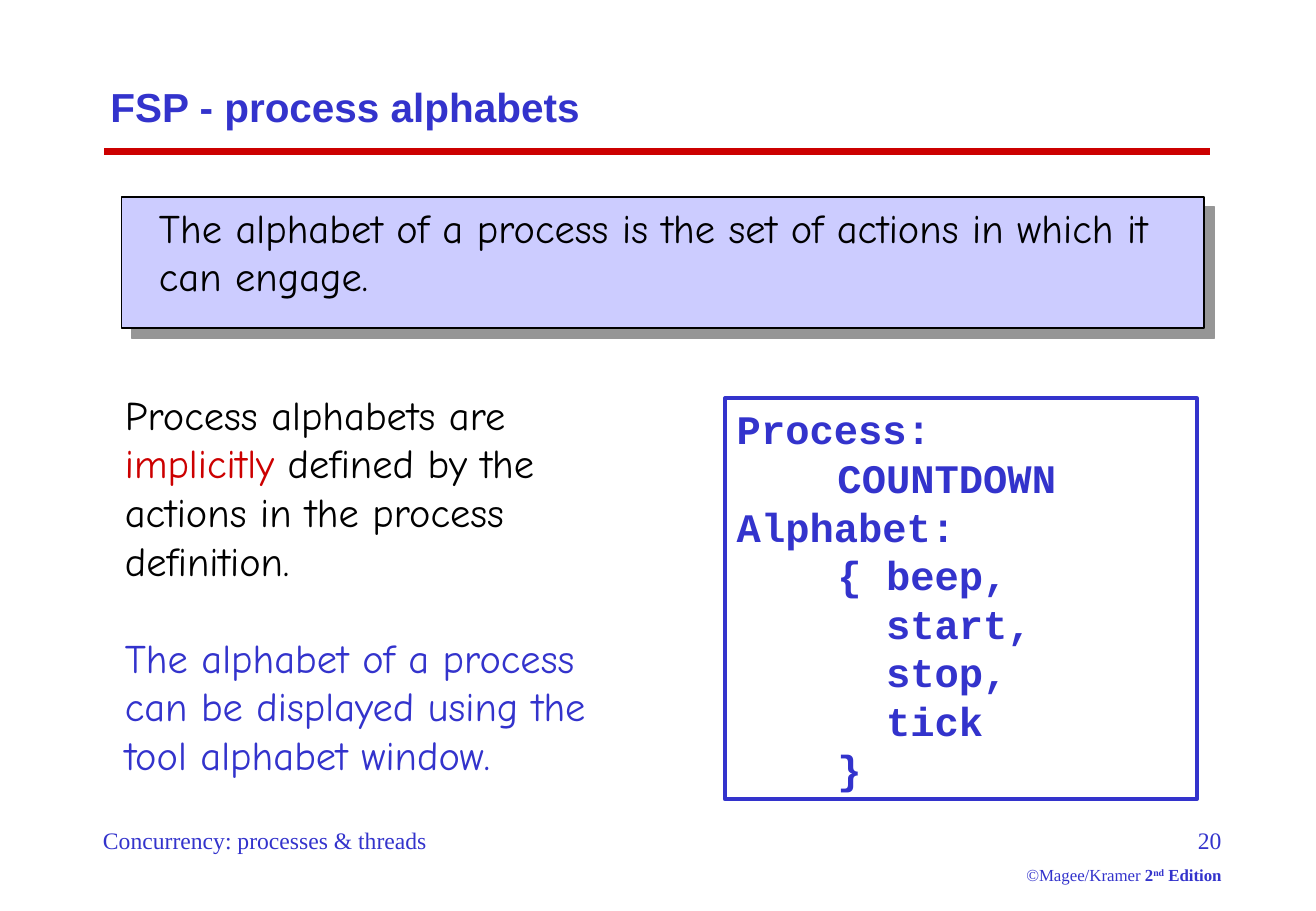
from lxml import etree
from pptx import Presentation
from pptx.dml.color import RGBColor
from pptx.enum.shapes import MSO_CONNECTOR, MSO_SHAPE
from pptx.enum.text import MSO_ANCHOR, PP_ALIGN
from pptx.oxml import parse_xml
from pptx.oxml.ns import qn
from pptx.util import Inches, Pt

RECT, STRAIGHT = MSO_SHAPE.RECTANGLE, MSO_CONNECTOR.STRAIGHT
LEFT, RIGHT = PP_ALIGN.LEFT, PP_ALIGN.RIGHT
TOP, MIDDLE = MSO_ANCHOR.TOP, MSO_ANCHOR.MIDDLE
A_NS = "http://schemas.openxmlformats.org/drawingml/2006/main"
BLUE, RED, BLACK, LILAC, GREY = "3333CC", "CC0000", "000000", "CCCCFF", "969696"
SANS, HAND, MONO, SERIF = "Arial", "Comic Neue", "Courier New", "Times New Roman"
TAB_STEP = 0.83
LINE_PITCH = 28.8

# Content: paragraphs are lists of (text, colour) runs
TITLE = "FSP - process alphabets"
DEFINITION = [[("The alphabet of a process is the set of actions in which it can engage.", BLACK)]]
EXPLANATION = [
    [("Process alphabets are ", BLACK), ("implicitly", RED),
     (" defined by the actions in the process definition.", BLACK)],
    [("The alphabet of a process can be displayed using the tool alphabet window.", BLUE)],
]
LISTING = ["Process:", "\tCOUNTDOWN", "Alphabet:", "\t{ beep,", "\t  start,",
           "\t  stop,", "\t  tick", "\t}"]
FOOTER = "Concurrency: processes & threads"
PAGE = "20"
CREDIT = [("©Magee/Kramer ", False, 0), ("2", True, 0), ("nd", True, 30000), (" Edition", True, 0)]


def rgb(value):
    return RGBColor.from_string(value)


def style(r, font, size, color, bold=False):
    r.font.name, r.font.size, r.font.bold = font, Pt(size), bold
    r.font.color.rgb = rgb(color)


def write(tf, paragraphs, font, size, bold=False, align=LEFT):
    tf.word_wrap = True
    for i, runs in enumerate(paragraphs):
        p = tf.paragraphs[0] if i == 0 else tf.add_paragraph()
        p.alignment = align
        for text, color in runs:
            r = p.add_run()
            r.text = text
            style(r, font, size, color, bold)


def set_pitch(tf):
    for p in tf.paragraphs:
        p.line_spacing = Pt(LINE_PITCH)


def textbox(s, x, y, w, h):
    return s.shapes.add_textbox(Inches(x), Inches(y), Inches(w), Inches(h)).text_frame


def rectangle(s, x, y, w, h, line, width):
    sp = s.shapes.add_shape(RECT, Inches(x), Inches(y), Inches(w), Inches(h))
    sp.shadow.inherit = False
    sp.line.color.rgb, sp.line.width = rgb(line), Pt(width)
    return sp


prs = Presentation()
prs.slide_width, prs.slide_height = Inches(10.84), Inches(7.5)
s = prs.slides.add_slide(prs.slide_layouts[5])

# Title and red rule
title = s.shapes.title
title.left, title.top, title.width, title.height = map(Inches, (0.81, 0.5, 9.27, 0.75))
tf = title.text_frame
tf.text = TITLE
tf.vertical_anchor = MIDDLE
tf.paragraphs[0].alignment = LEFT
style(tf.paragraphs[0].runs[0], SANS, 24, BLUE, True)

rule = s.shapes.add_connector(STRAIGHT, Inches(0.86), Inches(1.25), Inches(9.97), Inches(1.25))
rule.line.color.rgb, rule.line.width = rgb(RED), Pt(4)
etree.SubElement(rule._element.spPr, qn("a:effectLst"))

# Definition panel with a hard offset shadow
panel = rectangle(s, 1, 1.62, 8.92, 1.08, BLACK, 1)
panel.fill.solid()
panel.fill.fore_color.rgb = rgb(LILAC)
panel._element.spPr.find(qn("a:effectLst")).append(parse_xml(
    f'<a:outerShdw xmlns:a="{A_NS}" dist="{Pt(8.5)}" dir="2700000" algn="ctr" '
    f'rotWithShape="0"><a:srgbClr val="{GREY}"/></a:outerShdw>'))
tf = textbox(s, 0.58, 1.62, 9.33, 0.9)
tf.margin_left = Inches(0.73)
write(tf, DEFINITION, HAND, 24)
set_pitch(tf)

# Explanation on the left
tf = textbox(s, 0.93, 3.16, 4.42, 3.91)
write(tf, EXPLANATION, HAND, 24)
set_pitch(tf)
tf.paragraphs[1].space_before = Pt(LINE_PITCH)

# Process listing on the right
box = rectangle(s, 5.97, 3.28, 3.89, 3.3, BLUE, 2.25)
box.fill.background()
tf = box.text_frame
tf.vertical_anchor = TOP
write(tf, [[(line, BLUE)] for line in LISTING], MONO, 24, bold=True)
set_pitch(tf)
for p in tf.paragraphs:
    tabs = etree.SubElement(p._p.get_or_add_pPr(), qn("a:tabLst"))
    for i in range(1, 4):
        etree.SubElement(tabs, qn("a:tab"), pos=str(Inches(i * TAB_STEP)), algn="l")

# Footer, page number and credit
write(textbox(s, 0.75, 6.75, 3.42, 0.34), [[(FOOTER, BLUE)]], SERIF, 14)
tf = textbox(s, 8.25, 6.75, 1.91, 0.59)
write(tf, [[(PAGE, BLUE)]], SERIF, 14, align=RIGHT)
p = tf.add_paragraph()
p.alignment, p.space_before = RIGHT, Pt(6.2)
for text, bold, baseline in CREDIT:
    r = p.add_run()
    r.text = text
    style(r, SERIF, 10, BLUE, bold)
    if baseline:
        r.font._element.set("baseline", str(baseline))

prs.save("out.pptx")
